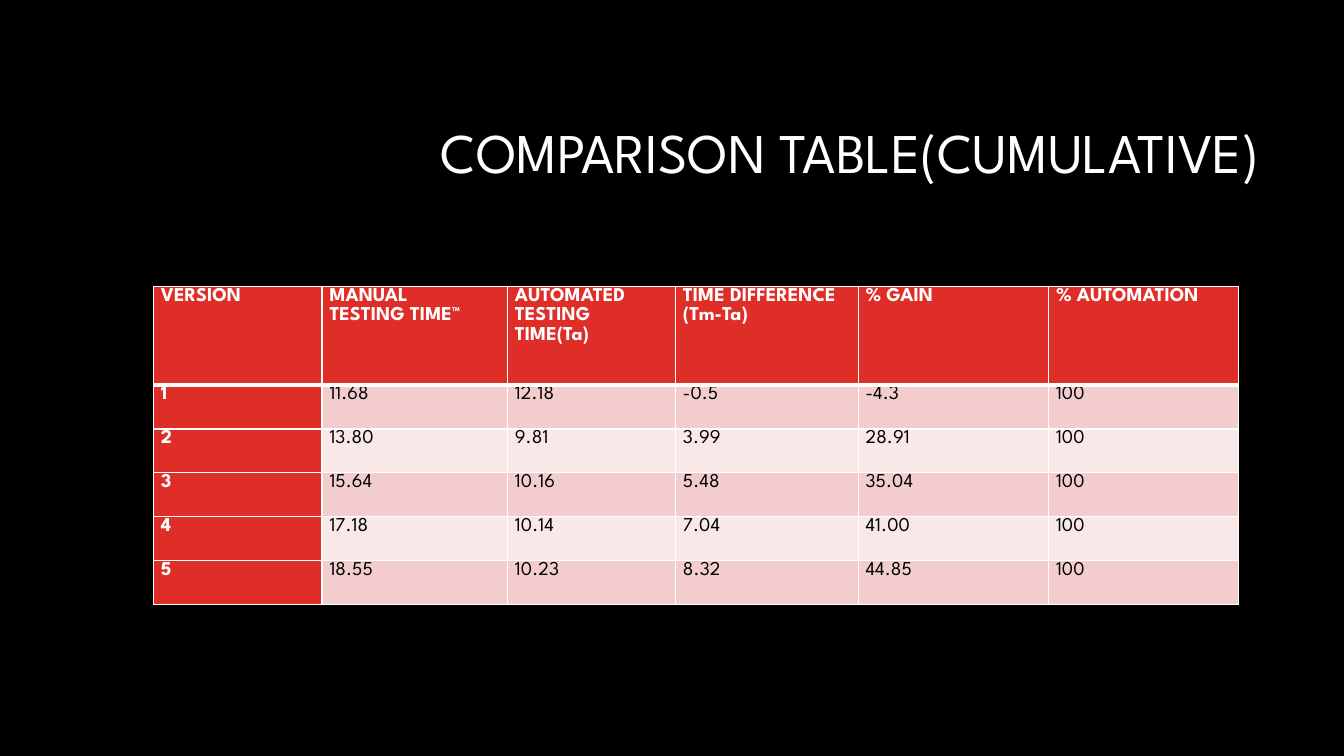
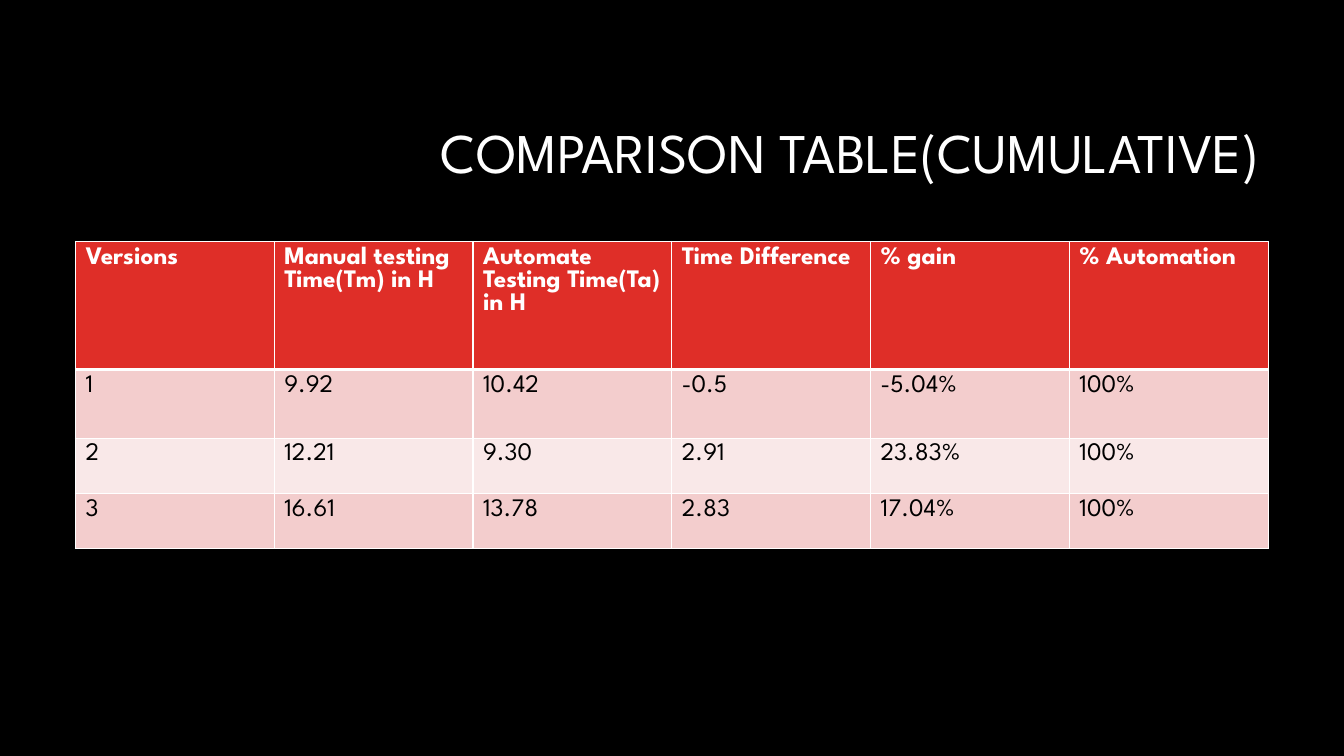
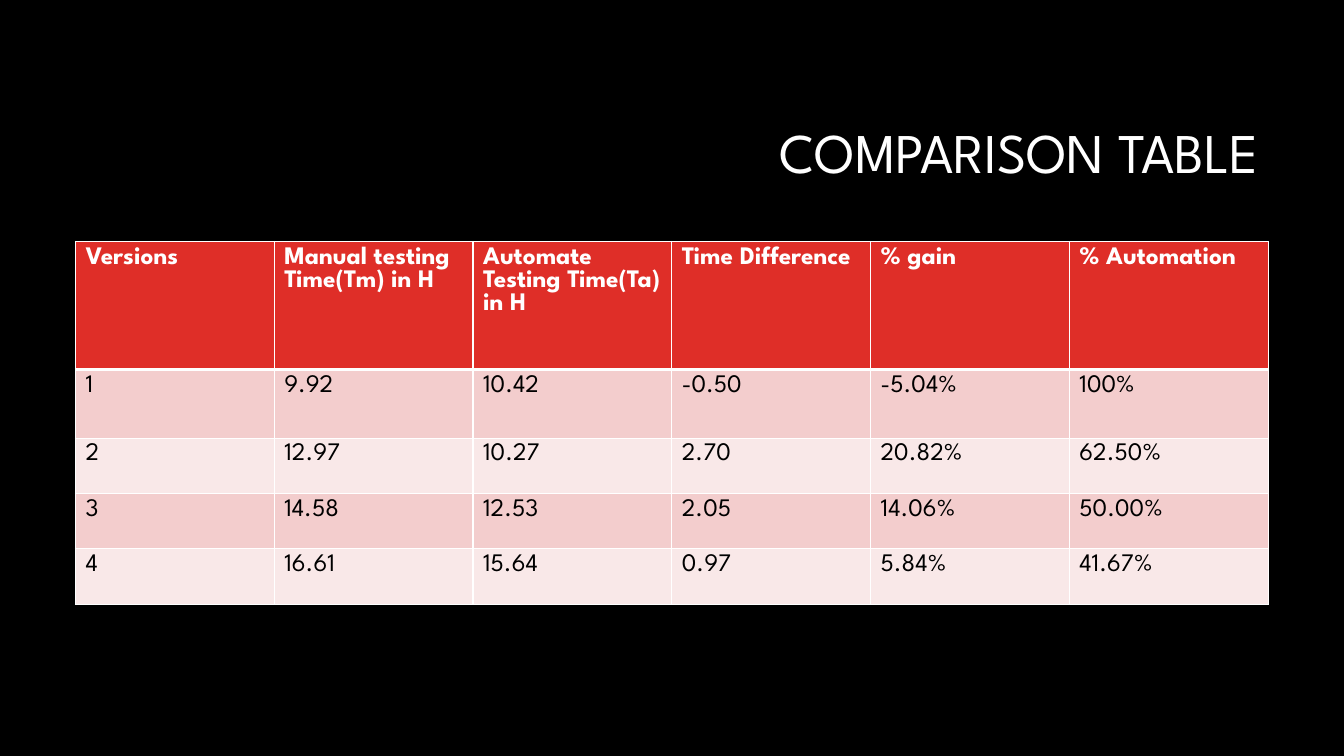
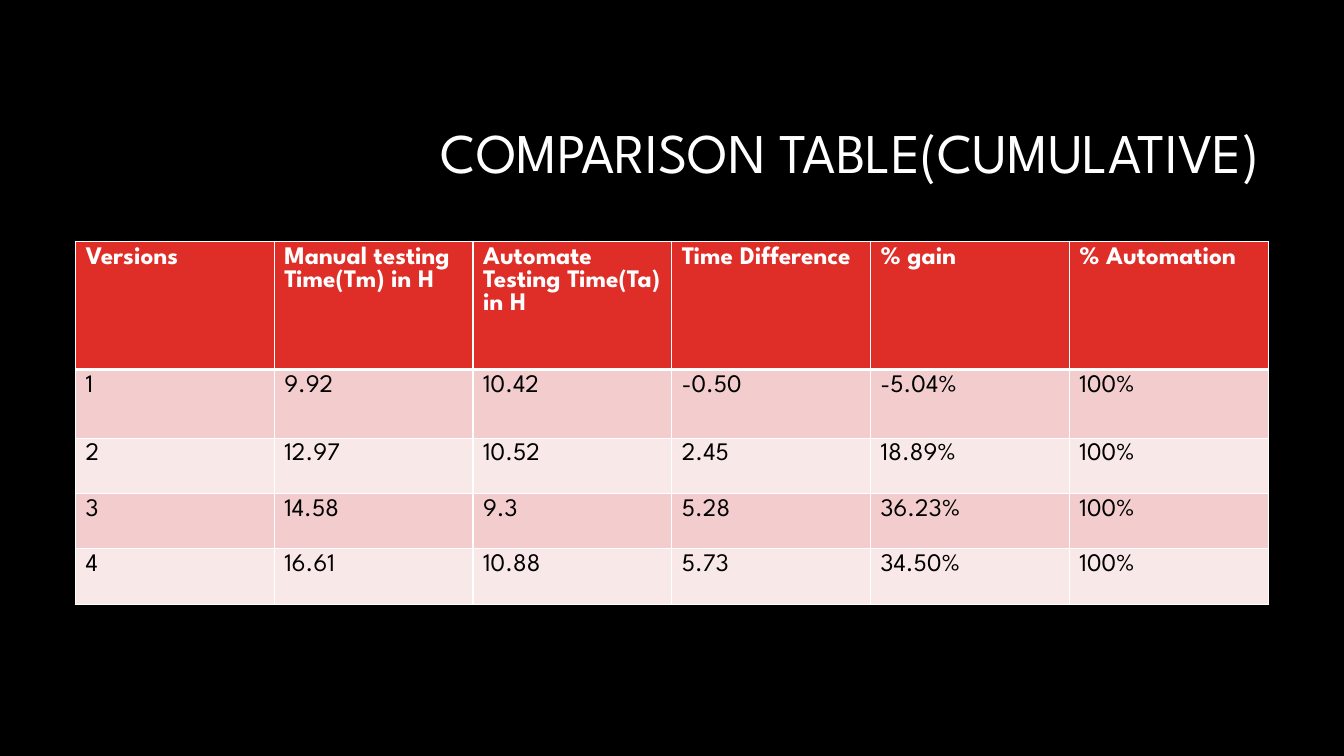
import pptx
import pptx.dml.color
import pptx.enum.text
import pptx.util
from lxml import etree

Pt = pptx.util.Pt
RGBColor = pptx.dml.color.RGBColor

BLACK = RGBColor(0x00, 0x00, 0x00)
WHITE = RGBColor(0xFF, 0xFF, 0xFF)
RED = RGBColor(0xDF, 0x2E, 0x28)
PINK = RGBColor(0xF3, 0xCD, 0xCD)
PALE_PINK = RGBColor(0xF9, 0xE8, 0xE8)
FONT = "League Spartan"
DRAWING = "{http://schemas.openxmlformats.org/drawingml/2006/main}"

CUMULATIVE = "COMPARISON TABLE(CUMULATIVE)"
VERSION_HEADER = [
    "Versions", "Manual testing Time(Tm) in H", "Automate Testing Time(Ta) in H",
    "Time Difference", "% gain", "% Automation",
]


class ComparisonDeck:
    def __init__(self):
        self.deck = pptx.Presentation()
        self.deck.slide_width = Pt(960)
        self.deck.slide_height = Pt(540)
        background = self.deck.slide_master.background.fill
        background.solid()
        background.fore_color.rgb = BLACK
        self.slide = None

    def add_slide(self, title):
        self.slide = self.deck.slides.add_slide(self.deck.slide_layouts[6])
        box = self.slide.shapes.add_textbox(Pt(228), Pt(60.5), Pt(678.5), Pt(101.5))
        frame = box.text_frame
        frame.word_wrap = True
        frame.vertical_anchor = pptx.enum.text.MSO_ANCHOR.MIDDLE
        para = frame.paragraphs[0]
        para.alignment = pptx.enum.text.PP_ALIGN.RIGHT
        para.line_spacing = 0.9
        self.add_span(para, title, 40, WHITE)

    def add_span(self, para, text, size, color, bold=False):
        span = para.add_run()
        span.text = text
        span.font.name = FONT
        span.font.size = Pt(size)
        span.font.bold = bold
        span.font.color.rgb = color

    def add_borders(self, cell, top, bottom):
        properties = cell._tc.get_or_add_tcPr()
        for side, width in (("L", 1), ("R", 1), ("T", top), ("B", bottom)):
            line = etree.SubElement(properties, f"{DRAWING}ln{side}", w=str(Pt(width)))
            fill = etree.SubElement(line, f"{DRAWING}solidFill")
            etree.SubElement(fill, f"{DRAWING}srgbClr", val=str(WHITE))

    def add_cell(self, cell, text, size, emphasis, color, line_spacing):
        for index, line in enumerate(text.split("\n")):
            frame = cell.text_frame
            para = frame.add_paragraph() if index else frame.paragraphs[0]
            para.line_spacing = line_spacing
            self.add_span(para, line, size, WHITE if emphasis else BLACK, emphasis)
        cell.fill.solid()
        cell.fill.fore_color.rgb = color

    def add_table(self, rows, left, top, widths, heights, size,
                  first_column=False, margins=(7.2, 3.6), line_spacing=1.0):
        frame = self.slide.shapes.add_table(
            len(rows), len(widths), Pt(left), Pt(top), Pt(sum(widths)), Pt(sum(heights)))
        table = frame.table
        table.first_col = first_column
        for column, width in zip(table.columns, widths):
            column.width = Pt(width)
        for row, height in zip(table.rows, heights):
            row.height = Pt(height)
        for row_index, texts in enumerate(rows):
            band = PINK if row_index % 2 else PALE_PINK
            for column_index, text in enumerate(texts):
                cell = table.cell(row_index, column_index)
                cell.margin_left = cell.margin_right = Pt(margins[0])
                cell.margin_top = cell.margin_bottom = Pt(margins[1])
                self.add_borders(cell, 3 if row_index == 1 else 1, 3 if row_index == 0 else 1)
                emphasis = row_index == 0 or (first_column and column_index == 0)
                self.add_cell(cell, text, size, emphasis, RED if emphasis else band, line_spacing)

    def add_version_table(self, rows):
        heights = [91.4, 49.2] + [39.5] * (len(rows) - 1)
        self.add_table([VERSION_HEADER] + rows, 53.9, 172.5, [142] * 6, heights, 18)


def main():
    comparison = ComparisonDeck()

    comparison.add_slide(CUMULATIVE)
    comparison.add_table(
        [
            ["VERSION", "MANUAL\nTESTING TIME™", "AUTOMATED\nTESTING TIME(Ta)",
             "TIME DIFFERENCE\n(Tm-Ta)", "% GAIN", "% AUTOMATION"],
            ["1", "11.68", "12.18", "-0.5", "-4.3", "100"],
            ["2", "13.80", "9.81", "3.99", "28.91", "100"],
            ["3", "15.64", "10.16", "5.48", "35.04", "100"],
            ["4", "17.18", "10.14", "7.04", "41.00", "100"],
            ["5", "18.55", "10.23", "8.32", "44.85", "100"],
        ],
        109.5, 204.5, [120.5, 132.5, 120, 130.5, 136, 135.5], [70.5] + [31.4] * 5, 14,
        first_column=True, margins=(5.4, 0), line_spacing=1.07)

    comparison.add_slide(CUMULATIVE)
    comparison.add_version_table([
        ["1", "9.92", "10.42", "-0.5", "-5.04%", "100%"],
        ["2", "12.21", "9.30", "2.91", "23.83%", "100%"],
        ["3", "16.61", "13.78", "2.83", "17.04%", "100%"],
    ])

    comparison.add_slide("COMPARISON TABLE")
    comparison.add_version_table([
        ["1", "9.92", "10.42", "-0.50", "-5.04%", "100%"],
        ["2", "12.97", "10.27", "2.70", "20.82%", "62.50%"],
        ["3", "14.58", "12.53", "2.05", "14.06%", "50.00%"],
        ["4", "16.61", "15.64", "0.97", "5.84%", "41.67%"],
    ])

    comparison.add_slide(CUMULATIVE)
    comparison.add_version_table([
        ["1", "9.92", "10.42", "-0.50", "-5.04%", "100%"],
        ["2", "12.97", "10.52", "2.45", "18.89%", "100%"],
        ["3", "14.58", "9.3", "5.28", "36.23%", "100%"],
        ["4", "16.61", "10.88", "5.73", "34.50%", "100%"],
    ])

    comparison.deck.save("out.pptx")


if __name__ == "__main__":
    main()
